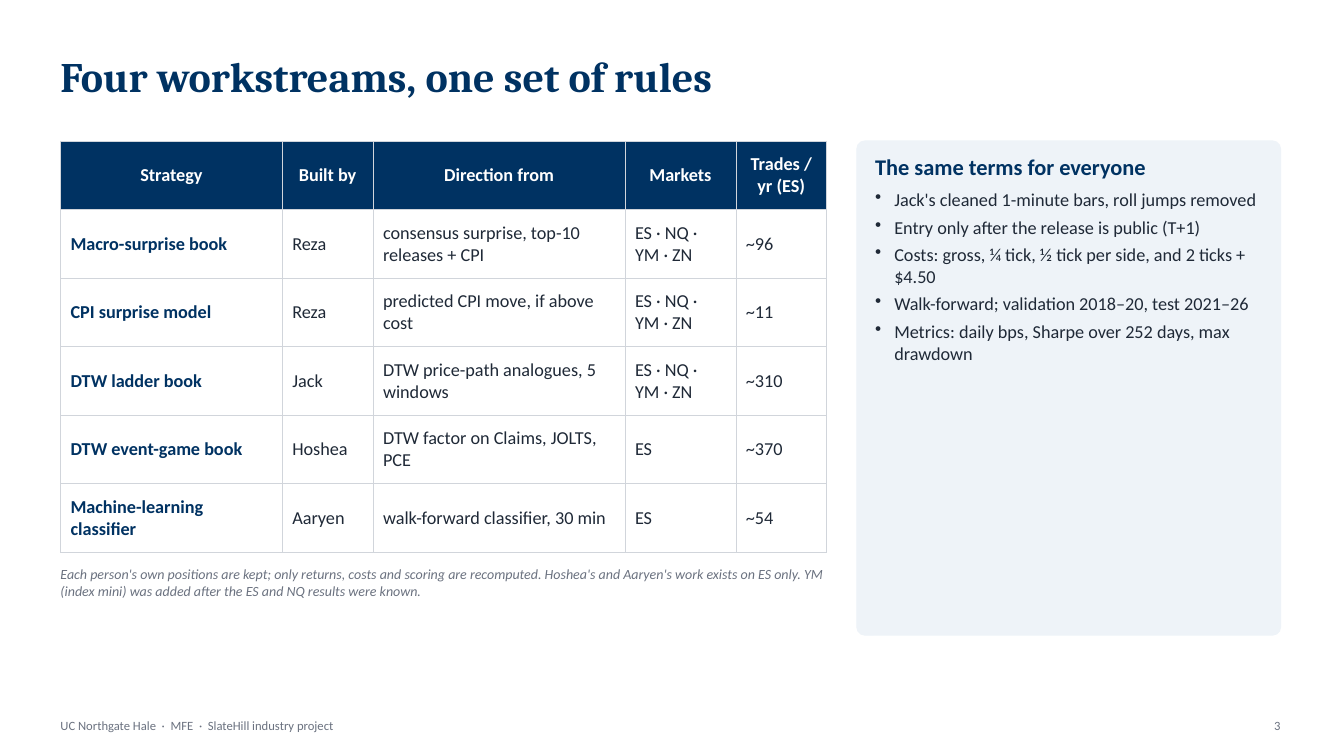
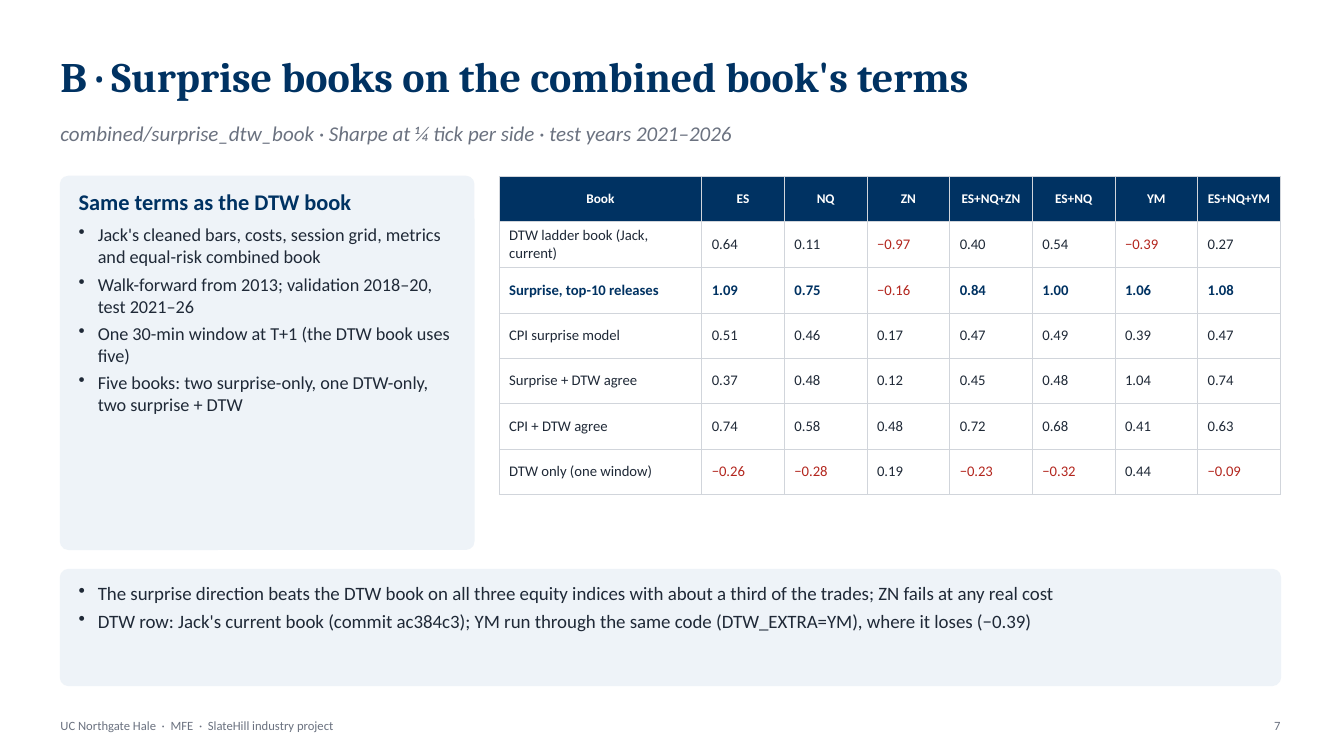
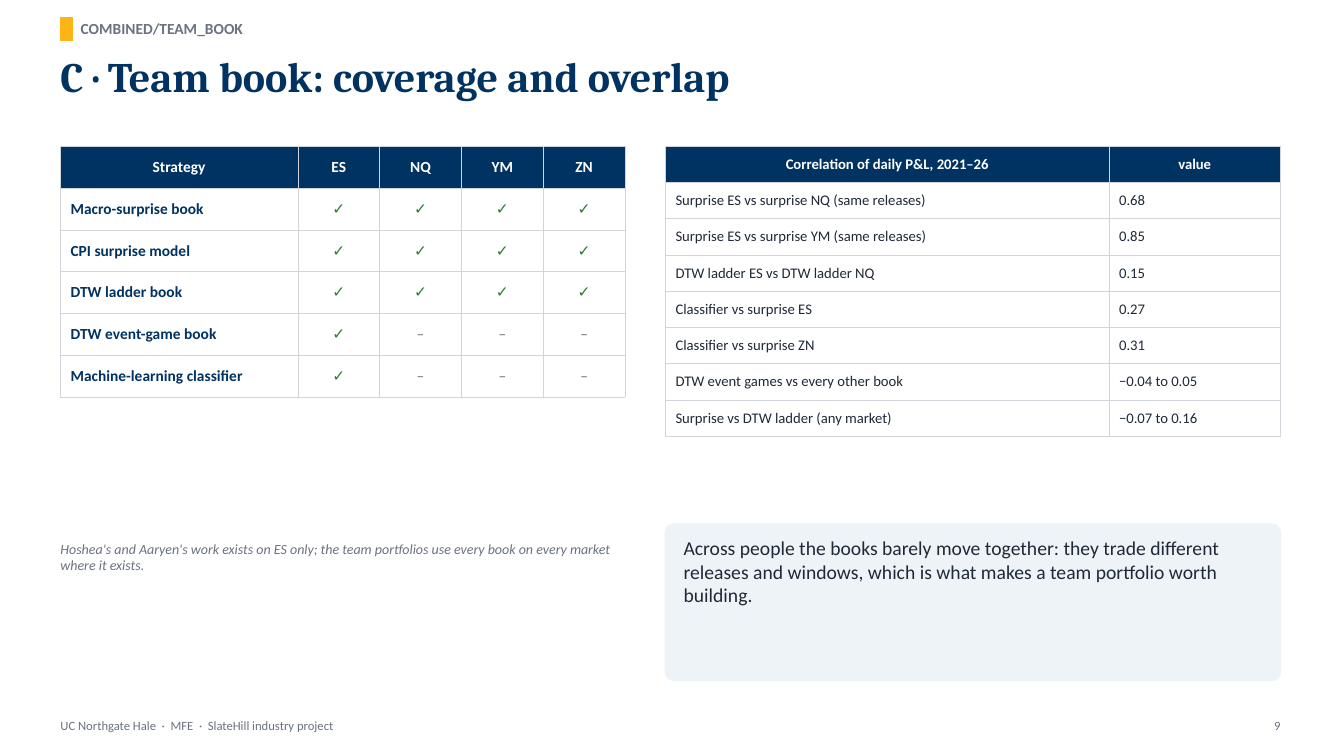
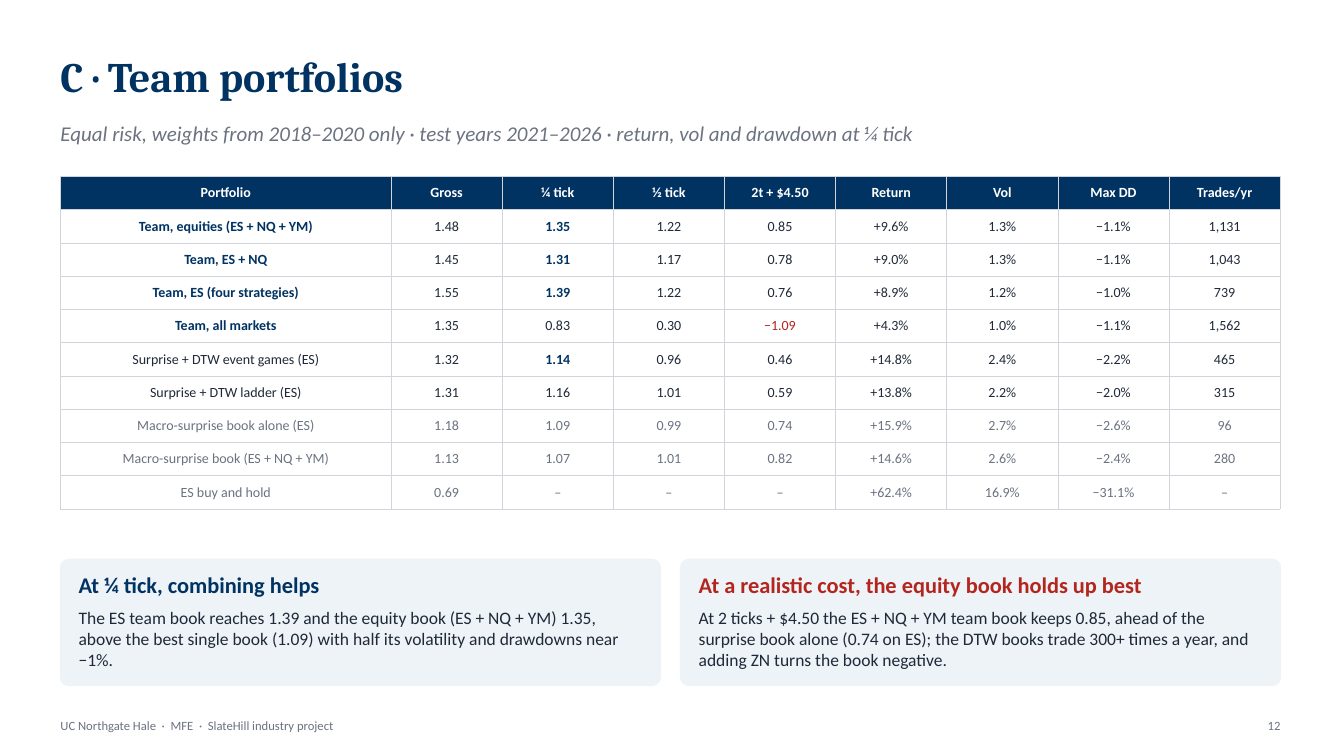
from dataclasses import dataclass

from lxml import etree
from pptx import Presentation
from pptx.dml.color import RGBColor
from pptx.enum.shapes import MSO_SHAPE
from pptx.enum.text import MSO_ANCHOR, MSO_AUTO_SIZE, PP_ALIGN
from pptx.oxml.ns import qn
from pptx.util import Inches, Pt

# ---- Shared look ----
COLORS = {
    "navy": "003262", "gold": "FDB515", "ink": "1F2937", "muted": "6B7280",
    "panel": "EEF3F8", "rule": "D1D5DB", "red": "B3261E", "green": "2E7D32",
    "white": "FFFFFF",
}
HEAD_FONT, BODY_FONT = "Cambria", "Calibri"
SLIDE_W, SLIDE_H = 13.33, 7.5
MARGIN, CONTENT_W = 0.6, 12.1
PAD_X, PAD_Y, RADIUS = 0.18, 0.12, 0.08
HANG = Inches(0.19)
FOOTER = "UC Northgate Hale  ·  MFE  ·  SlateHill industry project"


# ---- Layout grid ----
@dataclass
class Box:
    x: float
    y: float
    w: float
    h: float

    def columns(self, *weights, gap):
        unit = (self.w - gap * (len(weights) - 1)) / sum(weights)
        x, parts = self.x, []
        for weight in weights:
            parts.append(Box(x, self.y, weight * unit, self.h))
            x += weight * unit + gap
        return parts

    def rows(self, *weights, gap):
        unit = (self.h - gap * (len(weights) - 1)) / sum(weights)
        y, parts = self.y, []
        for weight in weights:
            parts.append(Box(self.x, y, self.w, weight * unit))
            y += weight * unit + gap
        return parts

    def strip(self, offset, height):
        return Box(self.x, self.y + offset, self.w, height)

    def inset(self, dx, dy):
        return Box(self.x + dx, self.y + dy, self.w - 2 * dx, self.h - 2 * dy)

    def emu(self):
        return [Inches(v) for v in (self.x, self.y, self.w, self.h)]


def content(top, bottom):
    return Box(MARGIN, top, CONTENT_W, bottom - top)


# ---- Text ----
@dataclass
class Para:
    text: str
    size: float
    color: str = "ink"
    bold: bool = False
    italic: bool = False
    align: PP_ALIGN = PP_ALIGN.LEFT
    after: float = 0
    bullet: bool = False
    font: str = BODY_FONT


def rgb(name):
    return RGBColor.from_string(COLORS[name])


def heading(text, color="navy"):
    return Para(text, 16, color, bold=True, after=6)


def body(text, size):
    return Para(text, size, after=4)


def bullets(size, *lines):
    return [Para(line, size, after=4, bullet=True) for line in lines]


def write(paragraph, para):
    paragraph.alignment = para.align
    if para.after:
        paragraph.space_after = Pt(para.after)
    if para.bullet:
        props = paragraph._p.get_or_add_pPr()
        props.set("marL", str(HANG))
        props.set("indent", str(-HANG))
        etree.SubElement(props, qn("a:buChar")).set("char", "•")
    run = paragraph.add_run()
    run.text = para.text
    font = run.font
    font.name, font.size = para.font, Pt(para.size)
    font.bold, font.italic = para.bold, para.italic
    font.color.rgb = rgb(para.color)


def fill_frame(frame, paras, anchor):
    frame.word_wrap = True
    frame.auto_size = MSO_AUTO_SIZE.NONE
    frame.vertical_anchor = anchor
    frame.margin_left = frame.margin_right = 0
    frame.margin_top = frame.margin_bottom = 0
    for i, para in enumerate(paras):
        write(frame.add_paragraph() if i else frame.paragraphs[0], para)


def add_text(slide, box, *paras, anchor=MSO_ANCHOR.MIDDLE):
    fill_frame(slide.shapes.add_textbox(*box.emu()).text_frame, paras, anchor)


def add_note(slide, box, text):
    add_text(slide, box, Para(text, 10, "muted", italic=True))


# ---- Shapes ----
def add_block(slide, kind, box, color):
    shape = slide.shapes.add_shape(kind, *box.emu())
    shape.shadow.inherit = False
    shape.fill.solid()
    shape.fill.fore_color.rgb = rgb(color)
    shape.line.color.rgb = rgb(color)
    shape.line.width = Pt(1)
    return shape


def add_panel(slide, box, *paras):
    panel = add_block(slide, MSO_SHAPE.ROUNDED_RECTANGLE, box, "panel")
    panel.adjustments[0] = RADIUS / min(box.w, box.h)
    add_text(slide, box.inset(PAD_X, PAD_Y), *paras, anchor=MSO_ANCHOR.TOP)


def add_kicker(slide, text):
    add_block(slide, MSO_SHAPE.RECTANGLE, Box(MARGIN, 0.18, 0.12, 0.22), "gold")
    add_text(slide, Box(MARGIN + 0.2, 0.12, 8, 0.32),
             Para(text, 11, "muted", bold=True))


# ---- Tables ----
def add_borders(cell):
    props = cell._tc.get_or_add_tcPr()
    for side in ("lnL", "lnR", "lnT", "lnB"):
        line = etree.SubElement(props, qn(f"a:{side}"), w=str(Pt(0.5)))
        solid = etree.SubElement(line, qn("a:solidFill"))
        etree.SubElement(solid, qn("a:srgbClr")).set("val", COLORS["rule"])


def plain(row, col, text):
    return "ink", False


def add_grid(slide, box, widths, row_h, rows, size, head_size=None,
             look=plain, centered=()):
    """Table under a navy header; look(row, col, text) gives colour and bold."""
    area = box.strip(0, row_h * len(rows))
    table = slide.shapes.add_table(len(rows), len(widths), *area.emu()).table
    table.horz_banding = False
    for column, part in zip(table.columns, box.columns(*widths, gap=0)):
        column.width = Inches(part.w)
    for r, values in enumerate(rows):
        table.rows[r].height = Inches(row_h)
        for c, text in enumerate(values):
            cell = table.cell(r, c)
            cell.vertical_anchor = MSO_ANCHOR.MIDDLE
            add_borders(cell)
            if r == 0:
                cell.fill.solid()
                cell.fill.fore_color.rgb = rgb("navy")
                color, bold = "white", True
            else:
                cell.fill.background()
                color, bold = look(r, c, text)
            align = PP_ALIGN.CENTER if r == 0 or c in centered else PP_ALIGN.LEFT
            text_size = (head_size or size) if r == 0 else size
            write(cell.text_frame.paragraphs[0],
                  Para(text, text_size, color, bold, align=align))


# ---- Slide frame: title, subtitle, footer ----
def new_slide(prs, title, page, subtitle=None):
    slide = prs.slides.add_slide(prs.slide_layouts[5])
    holder = slide.shapes.title
    holder.left, holder.top, holder.width, holder.height = content(0.35, 1.15).emu()
    fill_frame(holder.text_frame,
               [Para(title, 30, "navy", bold=True, font=HEAD_FONT)],
               MSO_ANCHOR.MIDDLE)
    if subtitle:
        add_text(slide, content(1.12, 1.52),
                 Para(subtitle, 15, "muted", italic=True))
    add_text(slide, Box(MARGIN, 7.05, 7, 0.3), Para(FOOTER, 9, "muted"))
    add_text(slide, Box(MARGIN + CONTENT_W - 0.5, 7.05, 0.5, 0.3),
             Para(str(page), 9, "muted", align=PP_ALIGN.RIGHT))
    return slide


# ---- Slides ----
def workstreams(prs):
    slide = new_slide(prs, "Four workstreams, one set of rules", 3)
    left, right = content(1.4, 6.3).columns(7.6, 4.2, gap=0.3)
    all_markets = "ES · NQ · YM · ZN"

    def look(row, col, text):
        return ("navy", True) if col == 0 else ("ink", False)

    add_grid(slide, left, [2.2, 0.9, 2.5, 1.1, 0.9], 0.68, [
        ["Strategy", "Built by", "Direction from", "Markets", "Trades / yr (ES)"],
        ["Macro-surprise book", "Reza",
         "consensus surprise, top-10 releases + CPI", all_markets, "~96"],
        ["CPI surprise model", "Reza",
         "predicted CPI move, if above cost", all_markets, "~11"],
        ["DTW ladder book", "Jack",
         "DTW price-path analogues, 5 windows", all_markets, "~310"],
        ["DTW event-game book", "Hoshea",
         "DTW factor on Claims, JOLTS, PCE", "ES", "~370"],
        ["Machine-learning classifier", "Aaryen",
         "walk-forward classifier, 30 min", "ES", "~54"],
    ], 13, look=look)
    add_panel(slide, right, heading("The same terms for everyone"), *bullets(
        13,
        "Jack's cleaned 1-minute bars, roll jumps removed",
        "Entry only after the release is public (T+1)",
        "Costs: gross, ¼ tick, ½ tick per side, and 2 ticks + $4.50",
        "Walk-forward; validation 2018–20, test 2021–26",
        "Metrics: daily bps, Sharpe over 252 days, max drawdown"))
    add_note(slide, left.strip(4.2, 0.35),
             "Each person's own positions are kept; only returns, costs and "
             "scoring are recomputed. Hoshea's and Aaryen's work exists on ES "
             "only. YM (index mini) was added after the ES and NQ results were "
             "known.")


def surprise_books(prs):
    slide = new_slide(
        prs, "B · Surprise books on the combined book's terms", 7,
        "combined/surprise_dtw_book · Sharpe at ¼ tick per side · test years 2021–2026")
    top, bottom = content(1.75, 6.8).rows(3.7, 1.15, gap=0.2)
    left, right = top.columns(4.1, 7.75, gap=0.25)
    best_row = 2

    def look(row, col, text):
        if text.startswith("−"):
            return "red", False
        return ("navy", True) if row == best_row else ("ink", False)

    add_panel(slide, left, heading("Same terms as the DTW book"), *bullets(
        13,
        "Jack's cleaned bars, costs, session grid, metrics and equal-risk combined book",
        "Walk-forward from 2013; validation 2018–20, test 2021–26",
        "One 30-min window at T+1 (the DTW book uses five)",
        "Five books: two surprise-only, one DTW-only, two surprise + DTW"))
    add_grid(slide, right, [2.01] + [0.82] * 7, 0.45, [
        ["Book", "ES", "NQ", "ZN", "ES+NQ+ZN", "ES+NQ", "YM", "ES+NQ+YM"],
        ["DTW ladder book (Jack, current)",
         "0.64", "0.11", "−0.97", "0.40", "0.54", "−0.39", "0.27"],
        ["Surprise, top-10 releases",
         "1.09", "0.75", "−0.16", "0.84", "1.00", "1.06", "1.08"],
        ["CPI surprise model",
         "0.51", "0.46", "0.17", "0.47", "0.49", "0.39", "0.47"],
        ["Surprise + DTW agree",
         "0.37", "0.48", "0.12", "0.45", "0.48", "1.04", "0.74"],
        ["CPI + DTW agree",
         "0.74", "0.58", "0.48", "0.72", "0.68", "0.41", "0.63"],
        ["DTW only (one window)",
         "−0.26", "−0.28", "0.19", "−0.23", "−0.32", "0.44", "−0.09"],
    ], 10.5, head_size=9.5, look=look)
    add_panel(slide, bottom, *bullets(
        13.5,
        "The surprise direction beats the DTW book on all three equity indices "
        "with about a third of the trades; ZN fails at any real cost",
        "DTW row: Jack's current book (commit ac384c3); YM run through the same "
        "code (DTW_EXTRA=YM), where it loses (−0.39)"))


def coverage(prs):
    slide = new_slide(prs, "C · Team book: coverage and overlap", 9)
    add_kicker(slide, "COMBINED/TEAM_BOOK")
    left, right = content(1.45, 6.75).columns(5.6, 6.1, gap=0.4)
    markets = ["ES", "NQ", "YM", "ZN"]
    markets_covered = {
        "Macro-surprise book": 4, "CPI surprise model": 4, "DTW ladder book": 4,
        "DTW event-game book": 1, "Machine-learning classifier": 1,
    }

    def look(row, col, text):
        if col == 0:
            return "navy", True
        return ("green", True) if text == "✓" else ("muted", False)

    add_grid(slide, left, [2.35] + [0.81] * 4, 0.415,
             [["Strategy"] + markets]
             + [[book] + ["✓"] * n + ["–"] * (len(markets) - n)
                for book, n in markets_covered.items()],
             11, look=look, centered=range(1, 5))
    add_note(slide, left.strip(3.9, 0.35),
             "Hoshea's and Aaryen's work exists on ES only; the team portfolios "
             "use every book on every market where it exists.")
    add_grid(slide, right, [4.4, 1.7], 0.36, [
        ["Correlation of daily P&L, 2021–26", "value"],
        ["Surprise ES vs surprise NQ (same releases)", "0.68"],
        ["Surprise ES vs surprise YM (same releases)", "0.85"],
        ["DTW ladder ES vs DTW ladder NQ", "0.15"],
        ["Classifier vs surprise ES", "0.27"],
        ["Classifier vs surprise ZN", "0.31"],
        ["DTW event games vs every other book", "−0.04 to 0.05"],
        ["Surprise vs DTW ladder (any market)", "−0.07 to 0.16"],
    ], 10.5)
    add_panel(slide, right.strip(3.75, 1.55), body(
        "Across people the books barely move together: they trade different "
        "releases and windows, which is what makes a team portfolio worth "
        "building.", 14))


def portfolios(prs):
    slide = new_slide(
        prs, "C · Team portfolios", 12,
        "Equal risk, weights from 2018–2020 only · test years 2021–2026 · "
        "return, vol and drawdown at ¼ tick")
    top, bottom = content(1.75, 6.8).rows(3.6, 1.25, gap=0.2)
    quarter_tick, full_cost = 2, 4
    team_rows, winning_rows, single_rows = (1, 2, 3, 4), (1, 2, 3, 5), (7, 8, 9)

    def look(row, col, text):
        if row in single_rows:
            return "muted", False
        if col == full_cost and text.startswith("−"):
            return "red", False
        strong = ((col == 0 and row in team_rows)
                  or (col == quarter_tick and row in winning_rows))
        return ("navy", True) if strong else ("ink", False)

    add_grid(slide, top, [3.27] + [1.1] * 8, 0.33, [
        ["Portfolio", "Gross", "¼ tick", "½ tick", "2t + $4.50",
         "Return", "Vol", "Max DD", "Trades/yr"],
        ["Team, equities (ES + NQ + YM)", "1.48", "1.35", "1.22", "0.85",
         "+9.6%", "1.3%", "−1.1%", "1,131"],
        ["Team, ES + NQ", "1.45", "1.31", "1.17", "0.78",
         "+9.0%", "1.3%", "−1.1%", "1,043"],
        ["Team, ES (four strategies)", "1.55", "1.39", "1.22", "0.76",
         "+8.9%", "1.2%", "−1.0%", "739"],
        ["Team, all markets", "1.35", "0.83", "0.30", "−1.09",
         "+4.3%", "1.0%", "−1.1%", "1,562"],
        ["Surprise + DTW event games (ES)", "1.32", "1.14", "0.96", "0.46",
         "+14.8%", "2.4%", "−2.2%", "465"],
        ["Surprise + DTW ladder (ES)", "1.31", "1.16", "1.01", "0.59",
         "+13.8%", "2.2%", "−2.0%", "315"],
        ["Macro-surprise book alone (ES)", "1.18", "1.09", "0.99", "0.74",
         "+15.9%", "2.7%", "−2.6%", "96"],
        ["Macro-surprise book (ES + NQ + YM)", "1.13", "1.07", "1.01", "0.82",
         "+14.6%", "2.6%", "−2.4%", "280"],
        ["ES buy and hold", "0.69", "–", "–", "–",
         "+62.4%", "16.9%", "−31.1%", "–"],
    ], 10, look=look, centered=range(9))
    left, right = bottom.columns(1, 1, gap=0.2)
    add_panel(slide, left, heading("At ¼ tick, combining helps"), body(
        "The ES team book reaches 1.39 and the equity book (ES + NQ + YM) 1.35, "
        "above the best single book (1.09) with half its volatility and "
        "drawdowns near −1%.", 12.5))
    add_panel(slide, right,
              heading("At a realistic cost, the equity book holds up best", "red"),
              body("At 2 ticks + $4.50 the ES + NQ + YM team book keeps 0.85, "
                   "ahead of the surprise book alone (0.74 on ES); the DTW books "
                   "trade 300+ times a year, and adding ZN turns the book "
                   "negative.", 12.5))


def main():
    prs = Presentation()
    prs.slide_width, prs.slide_height = Inches(SLIDE_W), Inches(SLIDE_H)
    for build in (workstreams, surprise_books, coverage, portfolios):
        build(prs)
    prs.save("out.pptx")


main()
